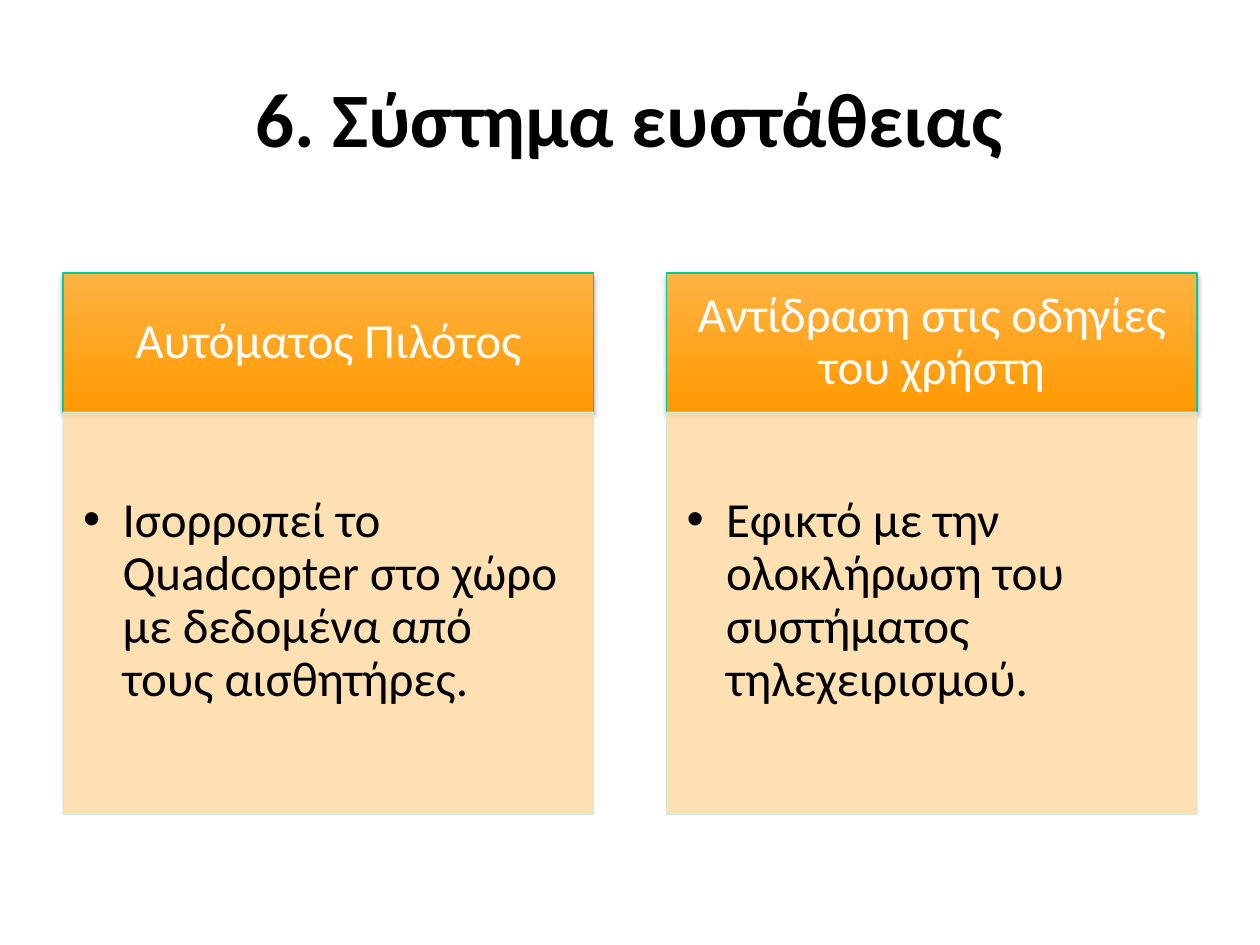
from lxml.etree import SubElement
from pptx import Presentation
from pptx.dml.color import RGBColor
from pptx.enum.shapes import MSO_SHAPE
from pptx.enum.text import MSO_ANCHOR, PP_ALIGN
from pptx.oxml.ns import qn
from pptx.util import Pt

BLACK = RGBColor(0x00, 0x00, 0x00)
WHITE = RGBColor(0xFF, 0xFF, 0xFF)
DEEP = RGBColor(0xFF, 0x99, 0x00)
LIGHT = RGBColor(0xFF, 0xB3, 0x43)
GREEN = RGBColor(0x00, 0xCC, 0x99)
CREAM = RGBColor(0xFF, 0xDD, 0xAB)
MINT = RGBColor(0xCC, 0xEC, 0xDE)

LEFT, WIDTH, STEP = 36, 303.1, 344.9
HEAD_TOP, HEAD_H = 156, 79.6
BODY_H = 229.8

CARDS = [
    ("Αυτόματος Πιλότος",
     "Ισορροπεί το Quadcopter στο χώρο με δεδομένα από τους αισθητήρες."),
    ("Αντίδραση στις οδηγίες του χρήστη",
     "Εφικτό με την ολοκλήρωση του συστήματος τηλεχειρισμού."),
]


def add_node(parent, tag, **attrs):
    return SubElement(parent, qn(tag), {k: str(v) for k, v in attrs.items()})


class Deck:
    font = "Calibri"

    def __init__(self, slide):
        self.slide = slide

    def label(self, shape, text, size, color, pads, align=PP_ALIGN.LEFT,
              anchor=MSO_ANCHOR.MIDDLE, bold=False, space=1.0):
        frame = shape.text_frame
        frame.word_wrap = True
        frame.vertical_anchor = anchor
        (frame.margin_left, frame.margin_top,
         frame.margin_right, frame.margin_bottom) = map(Pt, pads)
        para = frame.paragraphs[0]
        para.alignment = align
        para.line_spacing = space
        run = para.add_run()
        run.text = text
        run.font.name = self.font
        run.font.size = Pt(size)
        run.font.bold = bold
        run.font.color.rgb = color
        return para

    def title(self, text, *box):
        shape = self.slide.shapes.add_textbox(*map(Pt, box))
        self.label(shape, text, 44, BLACK, (7.2, 3.6, 7.2, 3.6),
                   PP_ALIGN.CENTER, bold=True)

    def rect(self, box, line):
        shape = self.slide.shapes.add_shape(MSO_SHAPE.RECTANGLE, *map(Pt, box))
        shape.shadow.inherit = False
        shape.line.color.rgb = line
        shape.line.width = Pt(0.75)
        return shape

    def header(self, text, *box):
        shape = self.rect(box, GREEN)
        shape.fill.gradient()
        shape.fill.gradient_angle = 90
        for stop, color in zip(shape.fill.gradient_stops, (DEEP, LIGHT)):
            stop.color.rgb = color
        # Soft shadow straight below
        effects = shape._element.spPr.find(qn("a:effectLst"))
        shadow = add_node(effects, "a:outerShdw", blurRad=Pt(3.1), dist=Pt(1.8),
                          dir=5400000, rotWithShape=0)
        tone = add_node(shadow, "a:srgbClr", val=BLACK)
        add_node(tone, "a:alpha", val=35000)
        self.label(shape, text, 28, WHITE, (15.8, 8.6, 15.8, 8.6),
                   PP_ALIGN.CENTER, space=0.9)

    def body(self, text, *box):
        shape = self.rect(box, MINT)
        shape.fill.solid()
        shape.fill.fore_color.rgb = CREAM
        # Fill and line are slightly see-through
        for tone in shape._element.spPr.iter(qn("a:srgbClr")):
            add_node(tone, "a:alpha", val=90000)
        para = self.label(shape, text, 28, BLACK, (11.5, 47.5, 15.8, 17.3),
                          anchor=MSO_ANCHOR.TOP, space=0.9)
        # Bullet with hanging indent
        props = para._p.get_or_add_pPr()
        props.set("marL", str(Pt(22.5)))
        props.set("indent", str(Pt(-22.5)))
        add_node(props, "a:buFont", typeface="Arial")
        add_node(props, "a:buChar", char="•")


def main():
    show = Presentation()
    show.slide_width, show.slide_height = Pt(720), Pt(540)
    deck = Deck(show.slides.add_slide(show.slide_layouts[6]))

    # Title
    deck.title("6. Σύστημα ευστάθειας", 36, 21.6, 648, 90)

    # Two cards: header above body
    for i, (head, text) in enumerate(CARDS):
        left = LEFT + i * STEP
        deck.header(head, left, HEAD_TOP, WIDTH, HEAD_H)
        deck.body(text, left, HEAD_TOP + HEAD_H, WIDTH, BODY_H)

    show.save("out.pptx")


if __name__ == "__main__":
    main()
